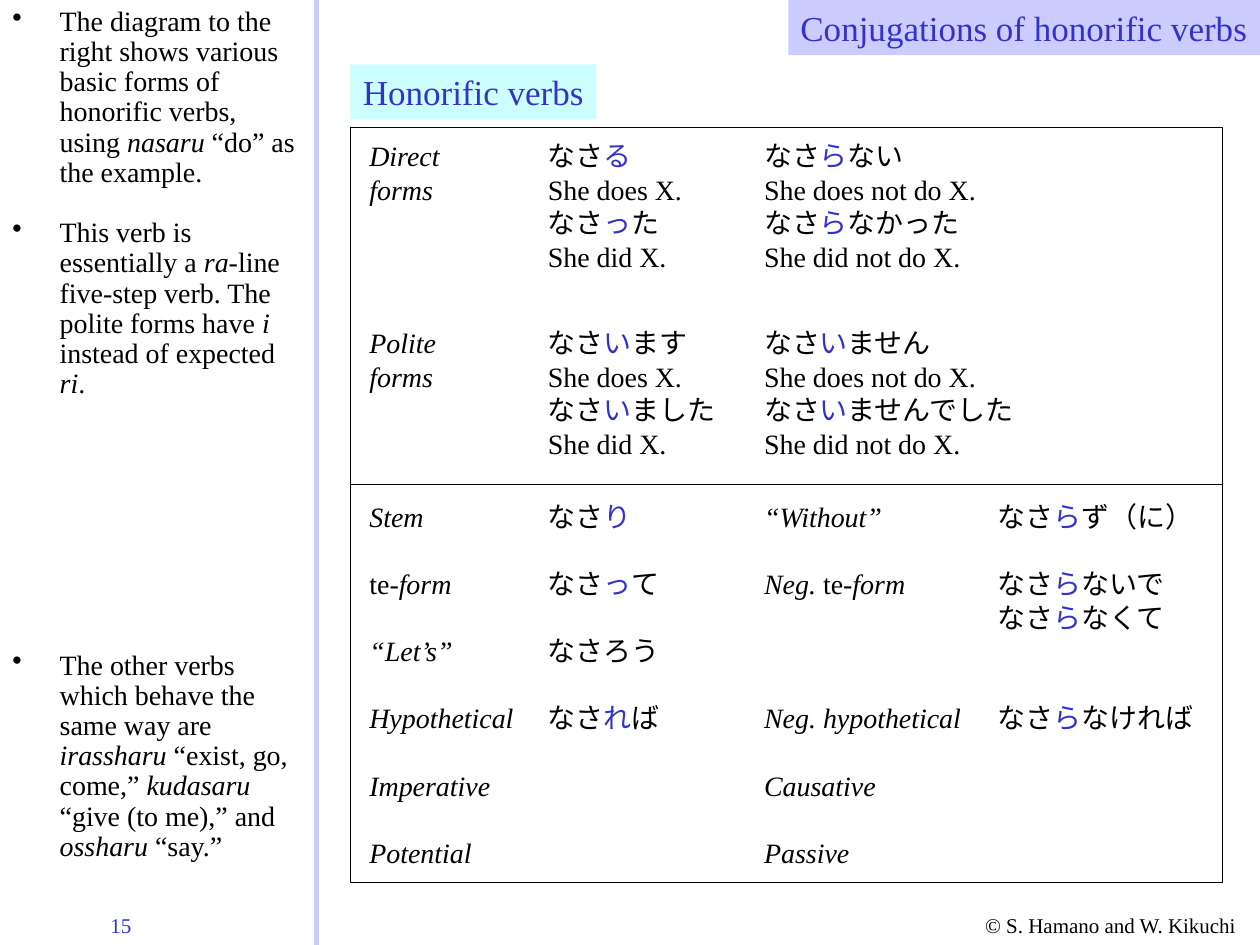
"""Build the slide on conjugations of Japanese honorific verbs."""
import pptx
import pptx.dml.color
import pptx.enum.shapes
import pptx.enum.text
import pptx.oxml
import pptx.oxml.ns
import pptx.util

Pt = pptx.util.Pt
RGB = pptx.dml.color.RGBColor.from_string
ALIGN = pptx.enum.text.PP_ALIGN

THEME = {
    "font": "Times New Roman", "heading": 20, "body": 16, "footer": 12,
    "ink": RGB("000000"), "accent": RGB("3333CC"),
    "lavender": RGB("CCCCFF"), "aqua": RGB("CCFFFF"),
}

TITLE = "Conjugations of honorific verbs"
SUBTITLE = "Honorific verbs"
PAGE = "15"
COPYRIGHT = "© S. Hamano and W. Kikuchi"
NOTES = [
    (0.5, 251.3, [
        "The diagram to the right shows various basic forms of honorific verbs, "
        "using *nasaru* “do” as the example.",
        "This verb is essentially a *ra-*line five-step verb. The polite forms "
        "have *i *instead of expected *ri*.",
    ]),
    (368.4, 128.2, [
        "The other verbs which behave the same way are *irassharu* “exist, go, "
        "come,” *kudasaru* “give (to me),” and *ossharu* “say.”",
    ]),
]
MAIN_FORMS = [
    [["*Direct*", "*forms*"],
     ["なさ|る|", "She does X.", "なさ|っ|た", "She did X."],
     ["なさ|ら|ない", "She does not do X.", "なさ|ら|なかった", "She did not do X."]],
    [["*Polite*", "*forms*"],
     ["なさ|い|ます", "She does X.", "なさ|い|ました", "She did X."],
     ["なさ|い|ません", "She does not do X.", "なさ|い|ませんでした",
      "She did not do X."]],
]
OTHER_FORMS = [
    [["*Stem*"], ["なさ|り|"], ["*“Without”*"], ["なさ|ら|ず（に）"]],
    [["te*-form*"], ["なさ|っ|て"], ["*Neg. *te*-form*"],
     ["なさ|ら|ないで", "なさ|ら|なくて"]],
    [["*“Let’s”*"], ["なさろう"]],
    [["*Hypothetical*"], ["なさ|れ|ば"], ["*Neg. hypothetical*"],
     ["なさ|ら|なければ"]],
    [["*Imperative*"], [], ["*Causative*"]],
    [["*Potential*"], [], ["*Passive*"]],
]

COLUMNS = [(204, 102), (306, 124), (429.6, 164), (563, 140)]
MAIN_TOP, MAIN_PITCH = 75.6, 107
OTHER_TOP, OTHER_PITCH = 281.8, 38.4
LINE_HEIGHT, PADDING = 19.25, 7.2
SIDEBAR = 180.7
FRAME_LEFT, FRAME_WIDTH = 200.2, 498.2
FRAMES = [(72.7, 204.1), (276.8, 227.5)]


def write(shape, lines, size, color=THEME["ink"], align=ALIGN.LEFT, wrap=True):
    tf = shape.text_frame
    tf.word_wrap = wrap
    tf.auto_size = pptx.enum.text.MSO_AUTO_SIZE.NONE
    tf.vertical_anchor = pptx.enum.text.MSO_ANCHOR.TOP
    for n, line in enumerate(lines):
        p = tf.add_paragraph() if n else tf.paragraphs[0]
        p.alignment = align
        for i, part in enumerate(line.split("*")):
            for j, piece in enumerate(part.split("|")):
                if piece:
                    r = p.add_run()
                    r.text = piece
                    r.font.name = THEME["font"]
                    r.font.size = Pt(size)
                    r.font.italic = i % 2 == 1
                    r.font.color.rgb = THEME["accent"] if j % 2 else color
    return tf


def add_text(s, box, lines, size, **style):
    return write(s.shapes.add_textbox(*map(Pt, box)), lines, size, **style)


def add_rectangle(s, box):
    sp = s.shapes.add_shape(pptx.enum.shapes.MSO_SHAPE.RECTANGLE, *map(Pt, box))
    sp.shadow.inherit = False
    return sp


def add_notes(s, top, height, notes):
    tf = add_text(s, (0, top, SIDEBAR, height), notes, THEME["body"])
    for n, p in enumerate(tf.paragraphs):
        p.line_spacing = 0.9
        if n:
            p.space_before = Pt(17.2)
        pPr = p._p.get_or_add_pPr()
        pPr.set("marL", str(Pt(27)))
        pPr.set("indent", str(-Pt(27)))
        pPr.append(pptx.oxml.parse_xml(
            f'<a:buChar {pptx.oxml.ns.nsdecls("a")} char="•"/>'))


def add_forms(s, rows, top, pitch):
    for n, row in enumerate(rows):
        for (left, width), lines in zip(COLUMNS, row):
            if lines:
                box = (left, top + n * pitch, width,
                       PADDING + LINE_HEIGHT * len(lines))
                add_text(s, box, lines, THEME["body"])


def main():
    prs = pptx.Presentation()
    prs.slide_width, prs.slide_height = Pt(720), Pt(540)
    s = prs.slides.add_slide(prs.slide_layouts[5])

    title = s.shapes.title
    title.left, title.top, title.width, title.height = map(Pt, (450.5, 0, 269.5, 31.5))
    title.fill.solid()
    title.fill.fore_color.rgb = THEME["lavender"]
    tf = write(title, [TITLE], THEME["heading"], THEME["accent"], ALIGN.RIGHT)
    tf.margin_left = Pt(0)

    subtitle = add_rectangle(s, (FRAME_LEFT, 36.8, 140.4, 31.5))
    subtitle.fill.solid()
    subtitle.fill.fore_color.rgb = THEME["aqua"]
    subtitle.line.fill.background()
    write(subtitle, [SUBTITLE], THEME["heading"], THEME["accent"], wrap=False)

    divider = s.shapes.add_connector(
        pptx.enum.shapes.MSO_CONNECTOR.STRAIGHT,
        Pt(SIDEBAR), Pt(0), Pt(SIDEBAR), Pt(540))
    divider.line.color.rgb = THEME["lavender"]
    divider.line.width = Pt(3)
    divider._element.spPr.append(pptx.oxml.parse_xml(
        f'<a:effectLst {pptx.oxml.ns.nsdecls("a")}/>'))

    for top, height in FRAMES:
        frame = add_rectangle(s, (FRAME_LEFT, top, FRAME_WIDTH, height))
        frame.fill.background()
        frame.line.color.rgb = THEME["ink"]
        frame.line.width = Pt(0.75)

    for top, height, notes in NOTES:
        add_notes(s, top, height, notes)
    add_forms(s, MAIN_FORMS, MAIN_TOP, MAIN_PITCH)
    add_forms(s, OTHER_FORMS, OTHER_TOP, OTHER_PITCH)
    add_text(s, (56, 517.7, 64, 21.6), [PAGE], THEME["footer"], color=THEME["accent"])
    add_text(s, (555.8, 517.7, 164.2, 21.6), [COPYRIGHT], THEME["footer"])
    prs.save("out.pptx")


if __name__ == "__main__":
    main()
